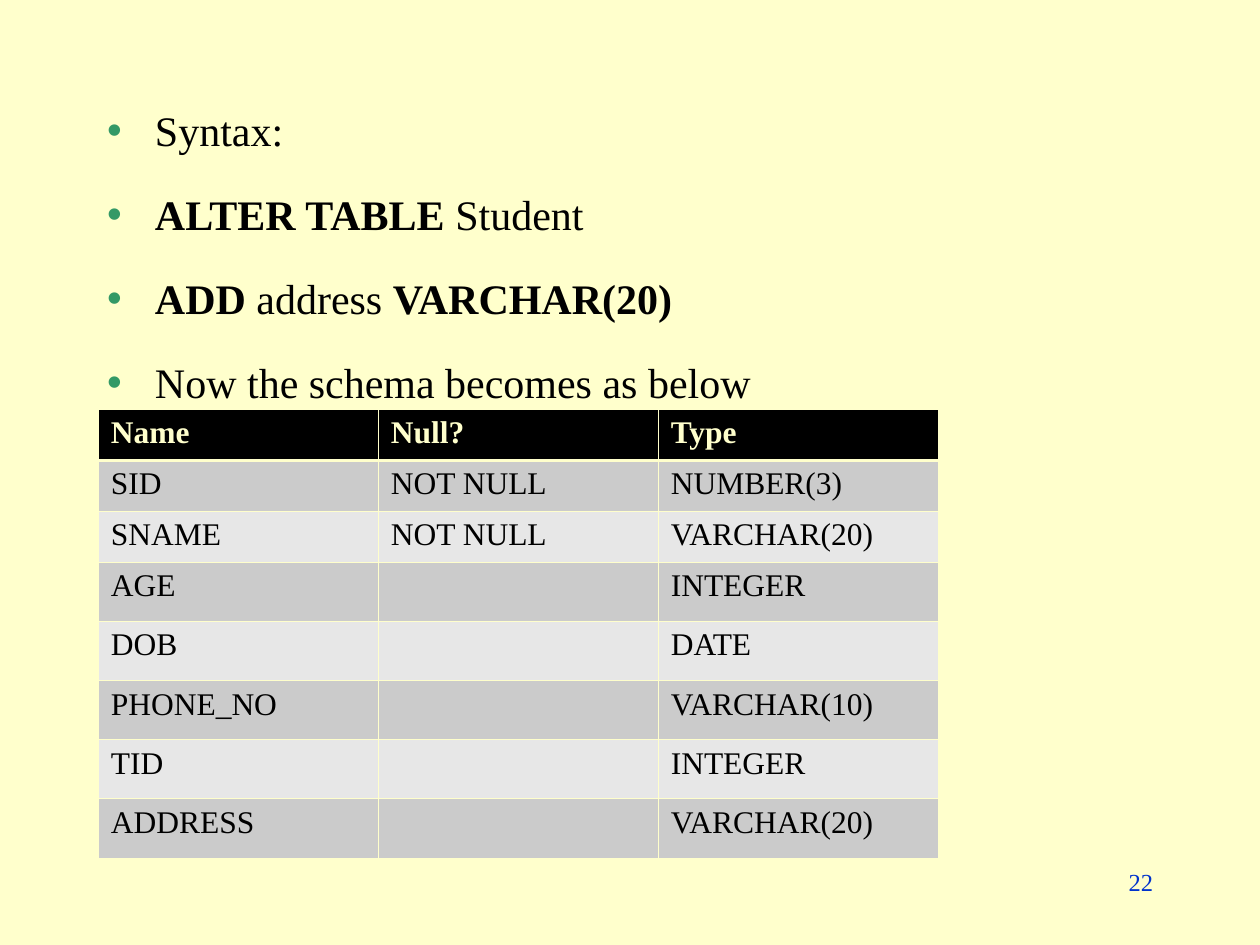
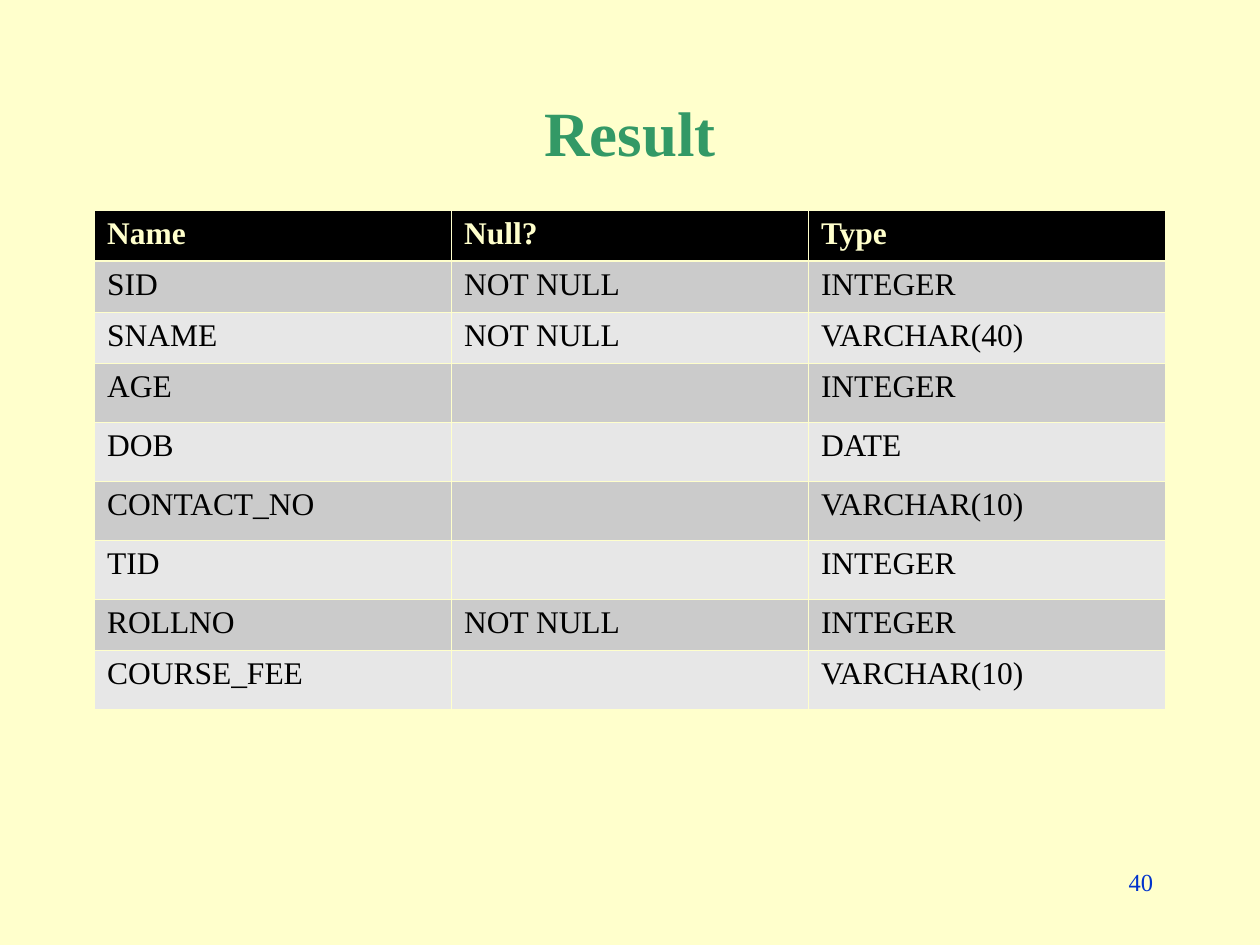
from lxml import etree
from pptx import Presentation
from pptx import util as u
from pptx.dml.color import RGBColor
from pptx.enum import text
from pptx.oxml.ns import qn

FONT = "Times New Roman"
CREAM = RGBColor(0xFF, 0xFF, 0xCC)
GREEN = RGBColor(0x33, 0x99, 0x66)
BLUE = RGBColor(0x00, 0x33, 0xCC)
BLACK = RGBColor(0x00, 0x00, 0x00)
BANDS = [RGBColor(0xE7, 0xE7, 0xE7), RGBColor(0xCB, 0xCB, 0xCB)]

presentation = Presentation()
presentation.slide_width = u.Inches(10)
presentation.slide_height = u.Inches(7.5)

# Grid of 120 columns by 90 rows
COLUMN = presentation.slide_width // 120
ROW = presentation.slide_height // 90
MARGIN = 9 * COLUMN
CONTENT_WIDTH = 102 * COLUMN
ROW_HEIGHT = u.Inches(0.405)
THIN, THICK = u.Pt(0.45), u.Pt(1.47)

# Shared background
background = presentation.slide_master.background.fill
background.solid()
background.fore_color.rgb = CREAM


def add_run(paragraph, words, size, color, bold=False):
    run = paragraph.add_run()
    run.text = words
    run.font.name = FONT
    run.font.size = u.Pt(size)
    run.font.bold = bold
    run.font.color.rgb = color


def add_schema(slide, left, top, width, fields):
    records = [("Name", "Null?", "Type")] + fields
    table = slide.shapes.add_table(len(records), 3, left, top, width,
                                   ROW_HEIGHT * len(records)).table
    for index, record in enumerate(records):
        table.rows[index].height = ROW_HEIGHT
        header = index == 0
        for cell, words in zip(table.rows[index].cells, record):
            # Borders, with a heavier rule under the header
            properties = cell._tc.get_or_add_tcPr()
            edges = {"a:lnL": THIN, "a:lnR": THIN,
                     "a:lnT": THICK if index == 1 else THIN,
                     "a:lnB": THICK if header else THIN}
            for edge, weight in edges.items():
                line = etree.SubElement(properties, qn(edge), w=str(int(weight)))
                solid = etree.SubElement(line, qn("a:solidFill"))
                etree.SubElement(solid, qn("a:srgbClr"), val=str(CREAM))
            cell.fill.solid()
            cell.fill.fore_color.rgb = BLACK if header else BANDS[index % 2]
            paragraph = cell.text_frame.paragraphs[0]
            if words:
                add_run(paragraph, words, 18, CREAM if header else BLACK, header)
            else:
                # Empty cells keep the 24 pt default, which makes their row taller
                etree.SubElement(paragraph._p, qn("a:endParaRPr"), sz="2400")
                paragraph._p[-1].append(etree.Element(qn("a:latin"), typeface=FONT))


# Slide 1: syntax list and the changed schema
syntax_slide = presentation.slides.add_slide(presentation.slide_layouts[1])
title = syntax_slide.shapes.title
title._element.getparent().remove(title._element)

body = syntax_slide.placeholders[1]
body.left, body.top = MARGIN, 9 * ROW
body.width, body.height = CONTENT_WIDTH, 71 * ROW
frame = body.text_frame
frame.auto_size = text.MSO_AUTO_SIZE.NONE
frame.margin_top = u.Inches(0.08)

# Each line is a list of (words, bold) runs
syntax_lines = [
    [("Syntax:", False)],
    [("ALTER TABLE", True), (" Student", False)],
    [("ADD", True), (" address ", False), ("VARCHAR(20)", True)],
    [("Now the schema becomes as below", False)],
]
for index, line_runs in enumerate(syntax_lines):
    paragraph = frame.add_paragraph() if index else frame.paragraphs[0]
    properties = paragraph._p.get_or_add_pPr()
    properties.set("marL", str(u.Inches(0.38)))
    properties.set("indent", str(-u.Inches(0.38)))
    bullet_color = etree.SubElement(properties, qn("a:buClr"))
    etree.SubElement(bullet_color, qn("a:srgbClr"), val=str(GREEN))
    etree.SubElement(properties, qn("a:buChar"), char="•")
    paragraph.space_before = u.Pt(19.2 if index else 0)
    for words, bold in line_runs:
        add_run(paragraph, words, 24, BLACK, bold)

add_schema(syntax_slide, u.Inches(0.78), 39 * ROW, 80 * COLUMN, [
    ("SID", "NOT NULL", "NUMBER(3)"),
    ("SNAME", "NOT NULL", "VARCHAR(20)"),
    ("AGE", "", "INTEGER"),
    ("DOB", "", "DATE"),
    ("PHONE_NO", "", "VARCHAR(10)"),
    ("TID", "", "INTEGER"),
    ("ADDRESS", "", "VARCHAR(20)"),
])

# Slide 2: resulting schema
result_slide = presentation.slides.add_slide(presentation.slide_layouts[5])
title = result_slide.shapes.title
title.left, title.top = MARGIN, 8 * ROW
title.width, title.height = CONTENT_WIDTH, 9 * ROW
title.text_frame.auto_size = text.MSO_AUTO_SIZE.NONE
title.text_frame.vertical_anchor = text.MSO_ANCHOR.MIDDLE
title.text_frame.paragraphs[0].alignment = text.PP_ALIGN.CENTER
add_run(title.text_frame.paragraphs[0], "Result", 36, GREEN, True)

add_schema(result_slide, MARGIN, 20 * ROW, CONTENT_WIDTH, [
    ("SID", "NOT NULL", "INTEGER"),
    ("SNAME", "NOT NULL", "VARCHAR(40)"),
    ("AGE", "", "INTEGER"),
    ("DOB", "", "DATE"),
    ("CONTACT_NO", "", "VARCHAR(10)"),
    ("TID", "", "INTEGER"),
    ("ROLLNO", "NOT NULL", "INTEGER"),
    ("COURSE_FEE", "", "VARCHAR(10)"),
])

# Page numbers
for slide, number in [(syntax_slide, "22"), (result_slide, "40")]:
    page_box = slide.shapes.add_textbox(86 * COLUMN, 82 * ROW, 25 * COLUMN, 6 * ROW)
    page_box.text_frame.word_wrap = True
    paragraph = page_box.text_frame.paragraphs[0]
    paragraph.alignment = text.PP_ALIGN.RIGHT
    add_run(paragraph, number, 14, BLUE)

presentation.save("out.pptx")
